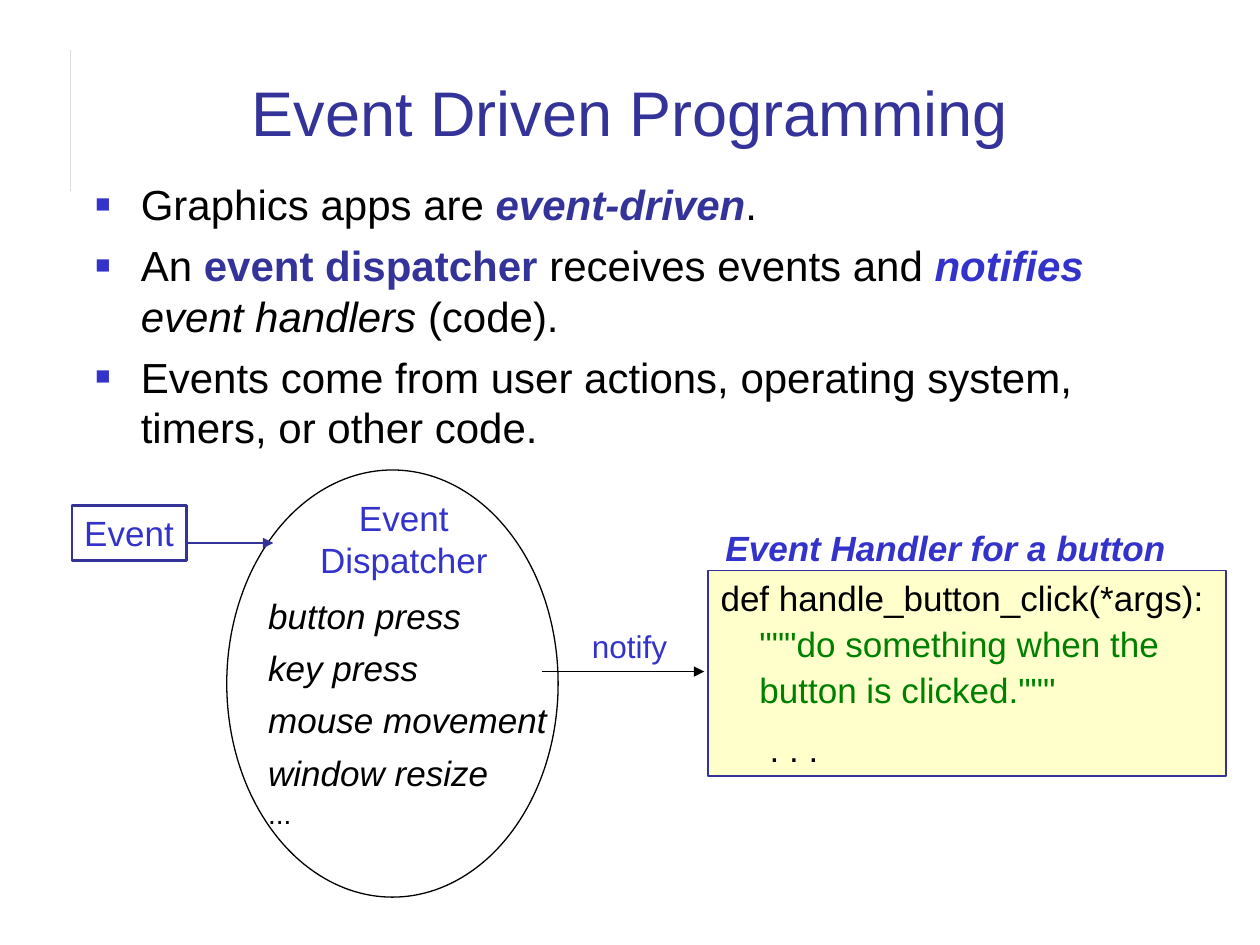
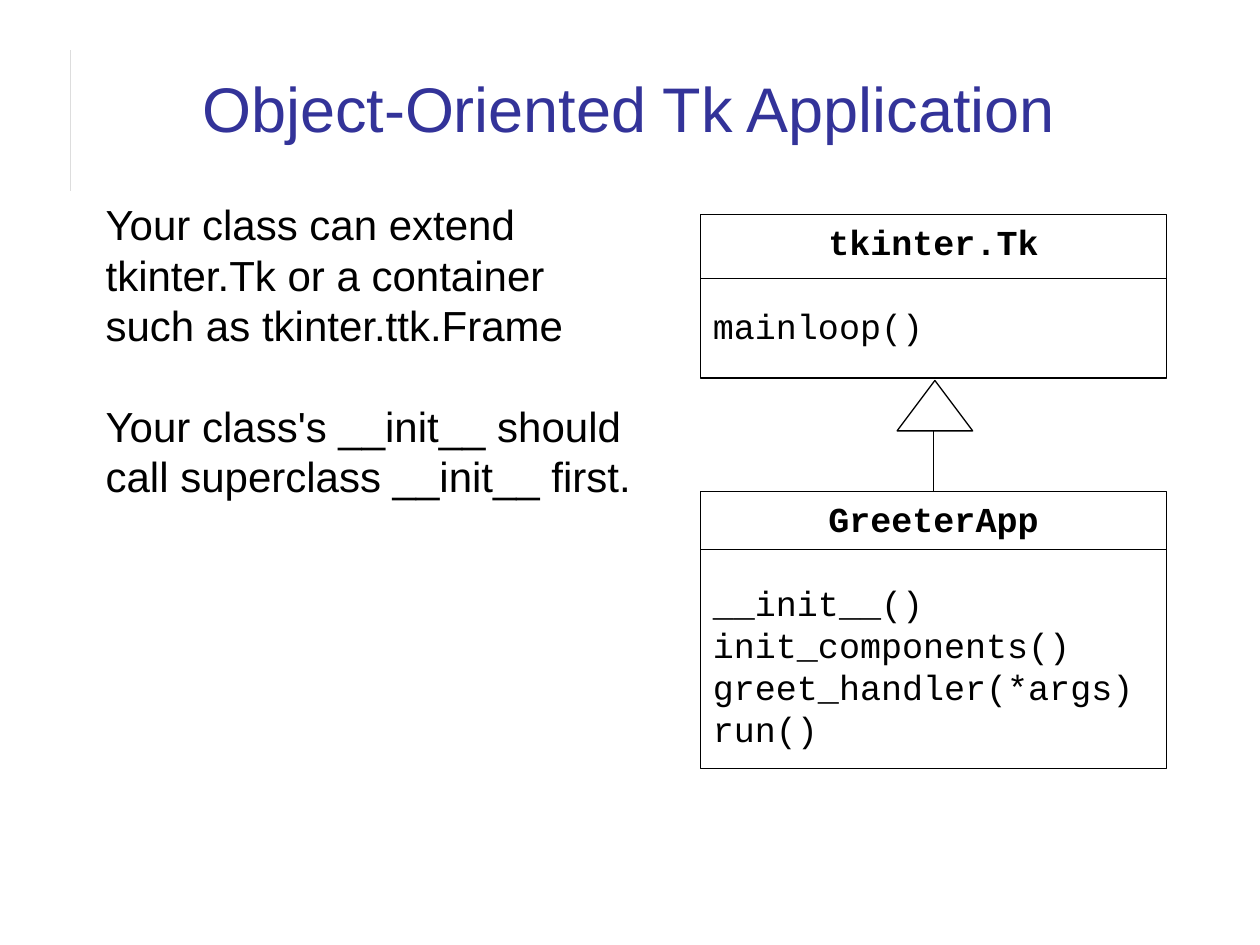
from dataclasses import dataclass, replace
from typing import Optional

from lxml import etree
from pptx import Presentation
from pptx.dml.color import RGBColor
from pptx.enum.shapes import MSO_CONNECTOR, MSO_SHAPE
from pptx.enum.text import MSO_ANCHOR, PP_ALIGN
from pptx.oxml.ns import qn
from pptx.util import Inches, Pt

LEFT, CENTER = PP_ALIGN.LEFT, PP_ALIGN.CENTER
TOP, BOTTOM = MSO_ANCHOR.TOP, MSO_ANCHOR.BOTTOM
RECTANGLE, ELLIPSE = MSO_SHAPE.RECTANGLE, MSO_SHAPE.OVAL
TRIANGLE = MSO_SHAPE.ISOSCELES_TRIANGLE
STRAIGHT = MSO_CONNECTOR.STRAIGHT

COLORS = {
    "navy": "333399",
    "blue": "3333CC",
    "black": "000000",
    "white": "FFFFFF",
    "green": "008000",
    "cream": "FFFFCC",
    "rule": "DDDDDD",
}
LEADING = 1.2  # line pitch as a multiple of the text size


@dataclass(frozen=True)
class Span:
    text: str
    color: Optional[str] = None
    bold: Optional[bool] = None
    italic: Optional[bool] = None


@dataclass(frozen=True)
class Style:
    size: float = 20
    color: str = "black"
    font: str = "Arial"
    bold: bool = False
    italic: bool = False
    align: PP_ALIGN = LEFT
    before: float = 0
    indent: float = 0
    bullet: bool = False


@dataclass(frozen=True)
class Para:
    style: Style
    spans: tuple[Span, ...]


@dataclass(frozen=True)
class Area:
    left: float
    top: float
    width: float
    height: float

    def lengths(self) -> tuple:
        return tuple(Inches(n) for n in (self.left, self.top, self.width, self.height))


TITLE = Style(size=36, color="navy", align=CENTER)
BODY = Style(size=24)
BULLET = replace(BODY, before=6, indent=0.36, bullet=True)
LABEL = Style(color="blue")
CODE = Style(before=2)
METHOD = Style(font="Courier New")
CLASS_NAME = replace(METHOD, bold=True, align=CENTER)


def rgb(name: str) -> RGBColor:
    return RGBColor.from_string(COLORS[name])


def para(style: Style, *parts) -> Para:
    return Para(style, tuple(Span(p) if isinstance(p, str) else p for p in parts))


# ---- Text ----
def add_bullet(properties) -> None:
    color = etree.SubElement(properties, qn("a:buClr"))
    etree.SubElement(color, qn("a:srgbClr"), val=COLORS["blue"])
    etree.SubElement(properties, qn("a:buSzPct"), val="60000")
    etree.SubElement(properties, qn("a:buFont"), typeface="Arial")
    etree.SubElement(properties, qn("a:buChar"), char="■")


def write(shape, paras: list[Para], wrap: bool = True, anchor=TOP) -> None:
    frame = shape.text_frame
    frame.word_wrap = wrap
    frame.vertical_anchor = anchor
    for index, item in enumerate(paras):
        style = item.style
        paragraph = frame.add_paragraph() if index else frame.paragraphs[0]
        paragraph.alignment = style.align
        paragraph.line_spacing = Pt(LEADING * style.size)
        paragraph.space_before = Pt(style.before if index else 0)
        properties = paragraph._p.get_or_add_pPr()
        if style.indent:
            properties.set("marL", str(Inches(style.indent)))
        if style.bullet:
            properties.set("indent", str(-Inches(style.indent)))
            add_bullet(properties)
        font = paragraph.font
        font.name, font.size = style.font, Pt(style.size)
        font.bold, font.italic = style.bold, style.italic
        font.color.rgb = rgb(style.color)
        for span in item.spans:
            run = paragraph.add_run()
            run.text = span.text
            if span.bold is not None:
                run.font.bold = span.bold
            if span.italic is not None:
                run.font.italic = span.italic
            if span.color:
                run.font.color.rgb = rgb(span.color)


def add_text(slide, area: Area, paras: list[Para], wrap: bool = True, anchor=TOP):
    box = slide.shapes.add_textbox(*area.lengths())
    write(box, paras, wrap, anchor)
    return box


# ---- Shapes and lines ----
def add_figure(slide, kind, area: Area, line: str = "black",
               width: float = 0.75, fill: Optional[str] = None):
    shape = slide.shapes.add_shape(kind, *area.lengths())
    shape.shadow.inherit = False
    shape.line.color.rgb = rgb(line)
    shape.line.width = Pt(width)
    if fill:
        shape.fill.solid()
        shape.fill.fore_color.rgb = rgb(fill)
    else:
        shape.fill.background()
    return shape


def add_line(slide, start: tuple, end: tuple, color: str = "black",
             width: float = 0.75, arrow: bool = False):
    line = slide.shapes.add_connector(STRAIGHT, *(Inches(n) for n in start + end))
    line.line.color.rgb = rgb(color)
    line.line.width = Pt(width)
    if arrow:
        etree.SubElement(line.line._get_or_add_ln(), qn("a:tailEnd"), type="triangle")
    etree.SubElement(line._element.spPr, qn("a:effectLst"))
    return line


def add_class(slide, name: str, methods: list[str], area: Area, divider: float):
    """Draw a UML class: name above the divider, methods one line below it."""
    box = add_figure(slide, RECTANGLE, area)
    gap = replace(METHOD, before=LEADING * METHOD.size)
    lines = [para(METHOD if i else gap, text) for i, text in enumerate(methods)]
    write(box, [para(CLASS_NAME, name)] + lines)
    add_line(slide, (area.left, divider), (area.left + area.width, divider))
    return box


# ---- Slides ----
def add_page(deck, title: str, title_area: Area):
    slide = deck.slides.add_slide(deck.slide_layouts[6])
    add_line(slide, (0.56, 0.4), (0.56, 1.52), "rule", 1)
    add_text(slide, title_area, [para(TITLE, title)], anchor=BOTTOM)
    return slide


def build_event_slide(deck) -> None:
    slide = add_page(deck, "Event Driven Programming", Area(0.67, 0.28, 8.66, 0.95))
    add_text(slide, Area(0.66, 1.37, 8.66, 2.67), [
        para(BULLET, "Graphics apps are ",
             Span("event-driven", "navy", bold=True, italic=True), "."),
        para(BULLET, "An ", Span("event dispatcher", "navy", bold=True),
             " receives events and ",
             Span("notifies ", "blue", bold=True, italic=True),
             Span("event handlers ", italic=True), "(code)."),
        para(BULLET, "Events come from user actions, operating system, "
                     "timers, or other code."),
    ])

    # Event and dispatcher
    event = add_figure(slide, RECTANGLE, Area(0.57, 4.01, 0.91, 0.44), "navy", 1.5)
    write(event, [para(LABEL, "Event")], wrap=False)
    heading = replace(LABEL, align=CENTER)
    add_text(slide, Area(2.44, 3.89, 1.53, 0.77),
             [para(heading, "Event"), para(heading, "Dispatcher")], wrap=False)
    kind = Style(italic=True, before=5.8)
    kinds = ["button press", "key press", "mouse movement", "window resize"]
    add_text(slide, Area(2.03, 4.67, 2.45, 1.97),
             [para(kind, text) for text in kinds]
             + [para(Style(size=16, before=2), "...")])
    add_figure(slide, ELLIPSE, Area(1.8, 3.73, 2.63, 3.39))
    add_line(slide, (1.49, 4.31), (2.17, 4.31), "navy", 1.5, arrow=True)

    # Handler code
    handler = add_figure(slide, RECTANGLE, Area(5.62, 4.53, 4.11, 1.63),
                         "navy", fill="cream")
    docstring = replace(CODE, color="green")
    write(handler, [
        para(CODE, "def handle_button_click(*args):"),
        para(docstring, '    """do something when the'),
        para(docstring, '    button is clicked."""'),
        para(replace(CODE, before=10, indent=0.39), ". . ."),
    ])
    add_text(slide, Area(5.66, 4.13, 3.9, 0.44),
             [para(replace(LABEL, bold=True, italic=True),
                   "Event Handler for a button")])
    add_line(slide, (4.3, 5.33), (5.59, 5.33), arrow=True)
    add_text(slide, Area(4.6, 4.93, 0.8, 0.4),
             [para(replace(LABEL, size=18), "notify")], wrap=False)


def build_class_slide(deck) -> None:
    slide = add_page(deck, "Object-Oriented Tk Application",
                     Area(0.67, 0.28, 8.64, 0.92))
    add_text(slide, Area(0.74, 1.53, 4.46, 4.85), [
        para(BODY, "Your class can extend tkinter.Tk or a container "
                   "such as tkinter.ttk.Frame"),
        para(replace(BODY, before=LEADING * BODY.size),
             "Your class's __init__ should call superclass __init__ first."),
    ])

    # Class diagram
    add_class(slide, "tkinter.Tk", ["mainloop()"], Area(5.56, 1.7, 3.7, 1.3), 2.21)
    greeter = add_class(
        slide, "GreeterApp",
        ["__init__()", "init_components()", "greet_handler(*args)", "run()"],
        Area(5.56, 3.9, 3.7, 2.2), 4.36)
    add_figure(slide, TRIANGLE, Area(7.12, 3.02, 0.6, 0.4), fill="white")
    stem = add_line(slide, (7.41, 3.9), (7.41, 3.42))
    stem.begin_connect(greeter, 0)


def main() -> None:
    deck = Presentation()
    deck.slide_width, deck.slide_height = Inches(10), Inches(7.5)
    build_event_slide(deck)
    build_class_slide(deck)
    deck.save("out.pptx")


if __name__ == "__main__":
    main()
